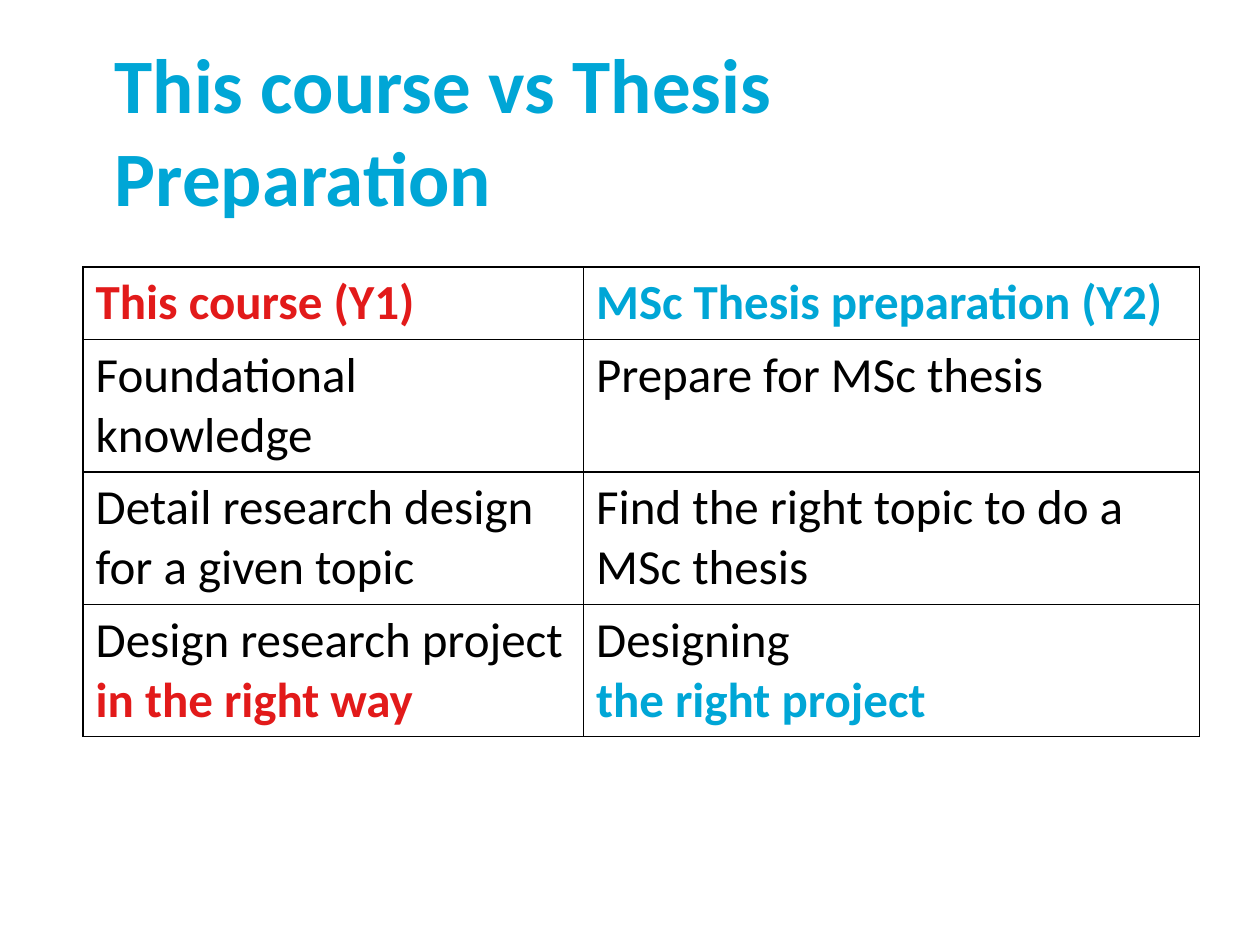
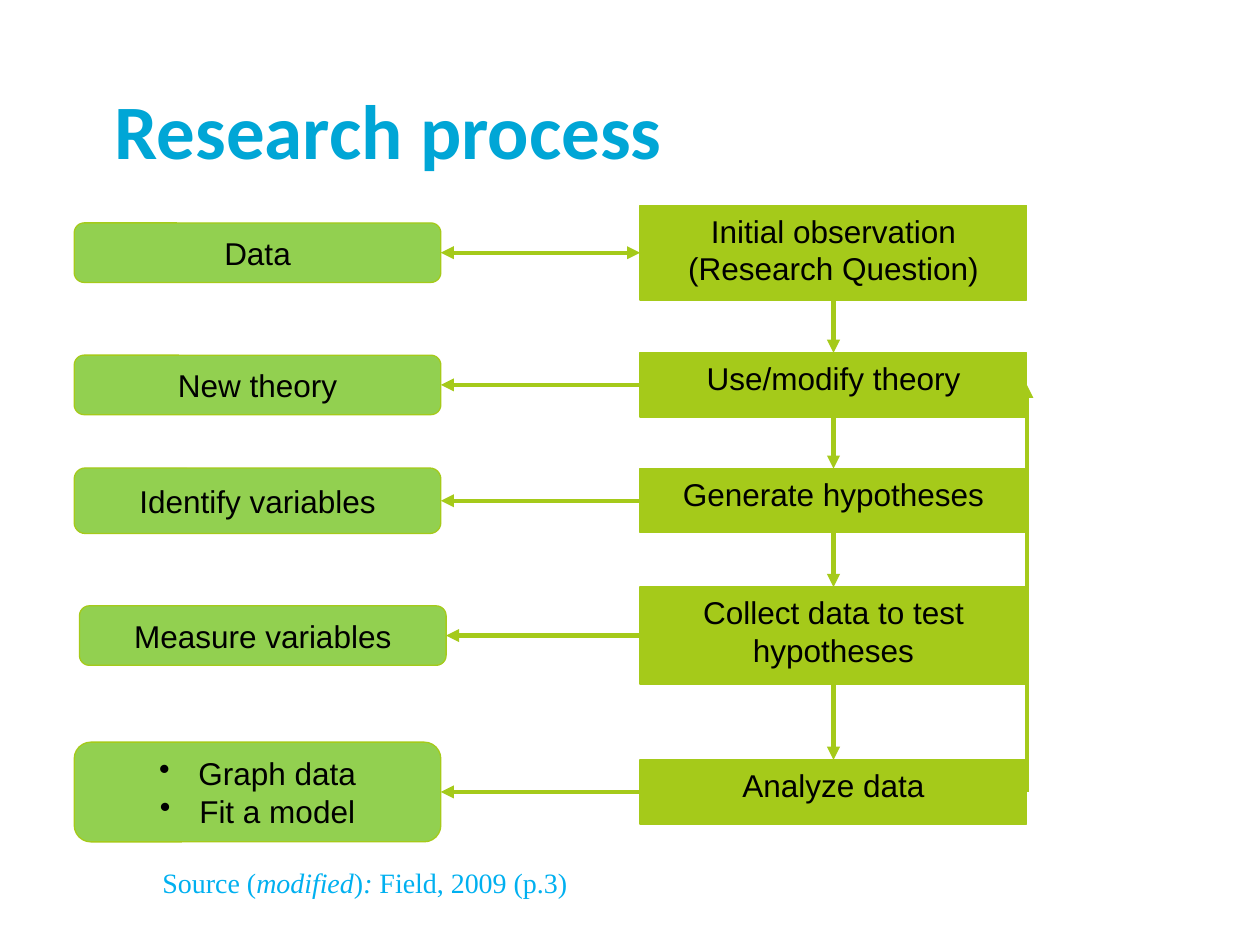
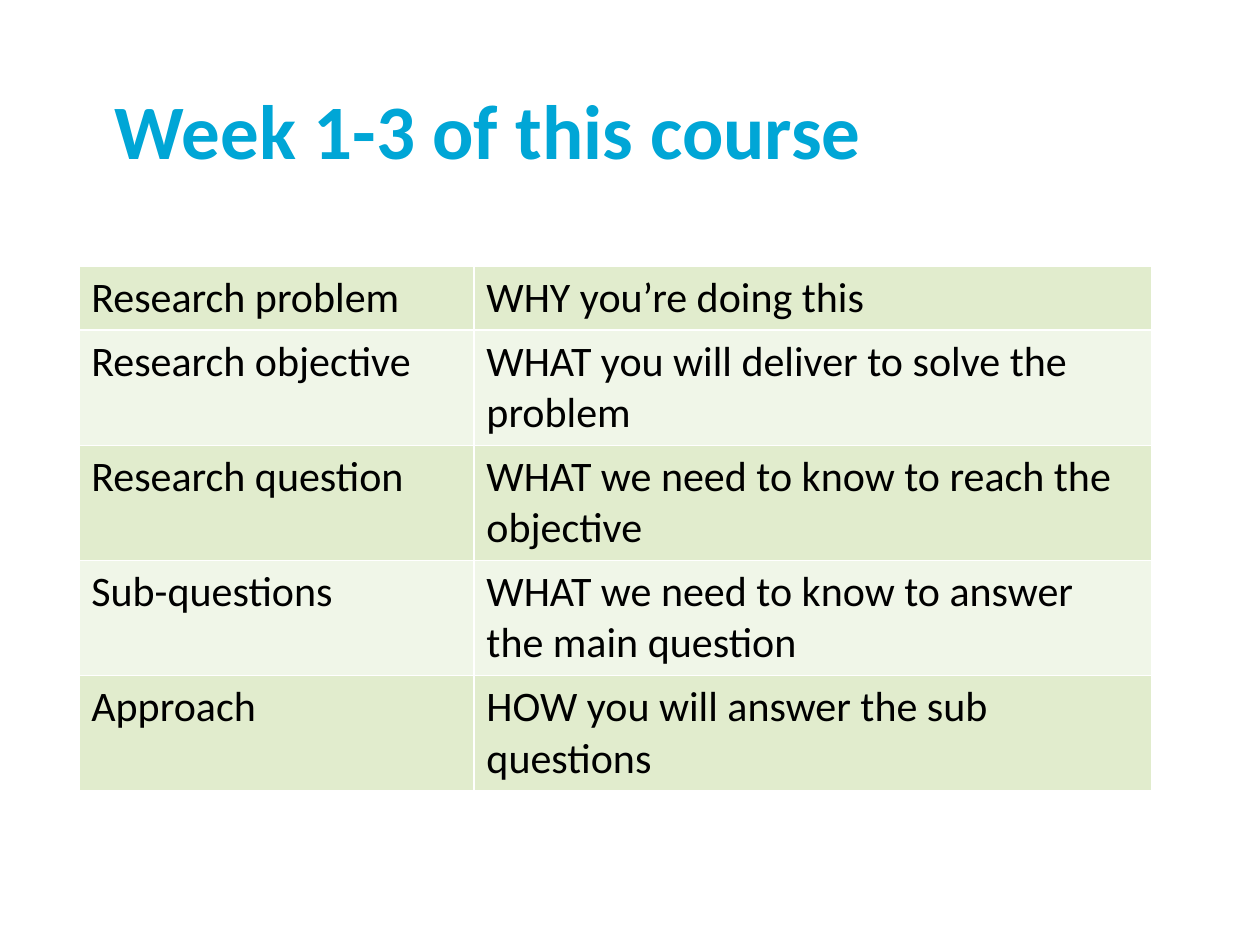
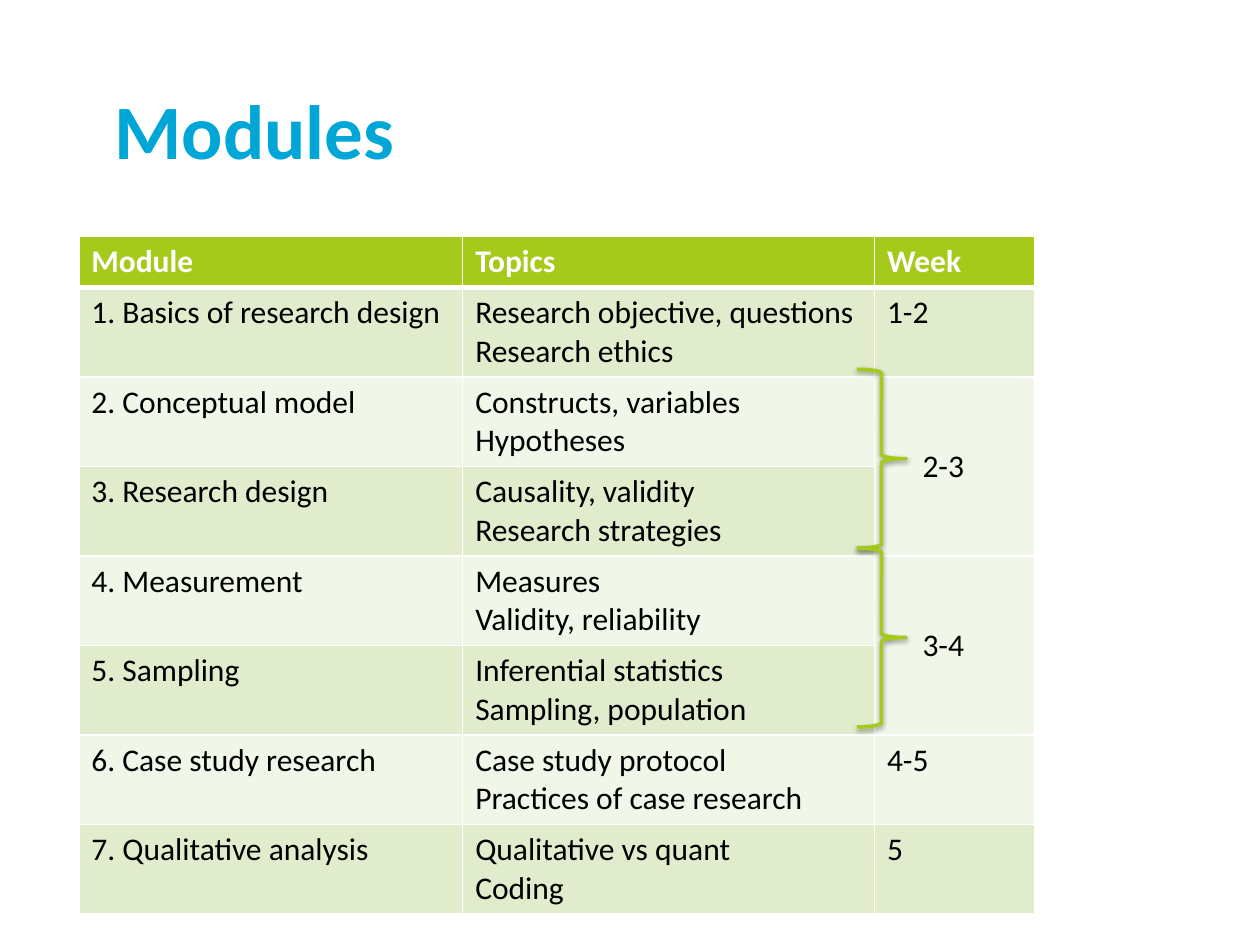
from lxml import etree
from pptx import Presentation
from pptx.dml.color import RGBColor
from pptx.enum import shapes, text
from pptx.oxml import parse_xml
from pptx.oxml.ns import nsdecls, qn
from pptx.util import Pt

HUES = {
    "cyan": "00A6D6", "red": "E21A1A", "black": "000000", "white": "FFFFFF",
    "lime": "A5CA1A", "green": "92D050", "sky": "00B0F0",
    "band": "E1ECCD", "pale": "F0F6E8",
}
ALIGN = text.PP_ALIGN
MIDDLE = text.MSO_ANCHOR.MIDDLE
TOP = text.MSO_ANCHOR.TOP


def rgb(hue):
    return RGBColor.from_string(HUES[hue])


def pts(*nums):
    return [Pt(n) for n in nums]


def write(frame, paras, size=18, font="Calibri", hue="black", bold=False,
          align=ALIGN.LEFT, anchor=TOP, bullet=False):
    """Fill a frame; a paragraph is a string or a list of (text, changes)."""
    frame.word_wrap = True
    frame.vertical_anchor = anchor
    if isinstance(paras, str):
        paras = [paras]
    for i, runs in enumerate(paras):
        para = frame.add_paragraph() if i else frame.paragraphs[0]
        para.alignment = align
        if bullet:
            props = para._p.get_or_add_pPr()
            props.set("marL", str(Pt(22.5)))
            props.set("indent", str(-Pt(22.5)))
            etree.SubElement(props, qn("a:buChar"), char="•")
        for words, extra in [(runs, {})] if isinstance(runs, str) else runs:
            run = para.add_run()
            run.text = words
            face = run.font
            face.name, face.size = font, Pt(size)
            face.bold = extra.get("bold", bold)
            face.italic = extra.get("italic", False)
            face.color.rgb = rgb(extra.get("hue", hue))


def start(deck, title):
    """Add a slide with the shared title style."""
    slide = deck.slides.add_slide(deck.slide_layouts[5])
    head = slide.shapes.title
    head.left, head.top, head.width, head.height = pts(58.3, 28.8, 600.5, 90)
    write(head.text_frame, title, size=44, hue="cyan", bold=True, anchor=MIDDLE)
    head.text_frame.auto_size = text.MSO_AUTO_SIZE.NONE
    return slide


def edge(cell, side, hue, width):
    cell._tc.get_or_add_tcPr().append(parse_xml(
        f'<a:ln{side} {nsdecls("a")} w="{Pt(width)}"><a:solidFill>'
        f'<a:srgbClr val="{HUES[hue]}"/></a:solidFill></a:ln{side}>'))


def grid(slide, left, top, widths, heights, rows, size, line, fills, head=False):
    """Draw a table; None joins a cell to the one above it."""
    frame = slide.shapes.add_table(len(rows), len(widths), *pts(
        left, top, sum(widths), sum(heights)))
    table = frame.table
    table.first_row = head
    table.horz_banding = False
    for col, width in zip(table.columns, widths):
        col.width = Pt(width)
    for r, row in enumerate(rows):
        table.rows[r].height = Pt(heights[r])
        for c, words in enumerate(row):
            cell = table.cell(r, c)
            for side in "LRTB":
                thick = head and (side, r) in (("B", 0), ("T", 1))
                edge(cell, side, line, 3 if thick else 1)
            fill = fills[r]
            if words is None:
                fill = fills[r - 1]
                table.cell(r - 1, c).merge(cell)
                above = table.cell(r - 1, c)
                above.vertical_anchor = MIDDLE
                above.margin_left = Pt(27.5)
            else:
                top_row = head and r == 0
                write(cell.text_frame, words, size=size, bold=top_row,
                      hue="white" if top_row else "black")
            if fill:
                cell.fill.solid()
                cell.fill.fore_color.rgb = rgb(fill)
            else:
                cell.fill.background()


def block(slide, kind, box, words, fill, **form):
    shape = slide.shapes.add_shape(kind, *pts(*box))
    shape.shadow.inherit = False
    shape.fill.solid()
    shape.fill.fore_color.rgb = rgb(fill)
    shape.line.color.rgb = rgb("lime")
    shape.line.width = Pt(0.75)
    write(shape.text_frame, words, font="Arial", align=ALIGN.CENTER, **form)
    return shape


def arrow(slide, first, out, last, into, both=False):
    """Join a side of one block to a side of another."""
    link = slide.shapes.add_connector(shapes.MSO_CONNECTOR.STRAIGHT, 0, 0, 0, 0)
    link.begin_connect(first, out)
    link.end_connect(last, into)
    link.line.color.rgb = rgb("lime")
    link.line.width = Pt(2.5)
    line = link.line._get_or_add_ln()
    for end in ["headEnd", "tailEnd"] if both else ["tailEnd"]:
        etree.SubElement(line, qn("a:" + end), type="triangle")
    etree.SubElement(link._element.spPr, qn("a:effectLst"))


def flow(slide, left, top):
    """Draw the steps on the right, each with its result on the left."""
    # offset and height of step, its words, then shift, height, words of result
    stages = [
        (0, 54, "Initial observation (Research Question)", 0, 34, "Data"),
        (84.2, 36.7, "Use/modify theory", 0, 34, "New theory"),
        (150.4, 36.7, "Generate hypotheses", 0, 37.4, "Identify variables"),
        (218.1, 55.4, "Collect data to test hypotheses", 3, 34, "Measure variables"),
        (316.8, 36.7, "Analyze data", 0, 57, ["Graph data", "Fit a model"]),
    ]
    kinds = shapes.MSO_SHAPE
    steps = []
    for i, (down, tall, words, shift, high, result) in enumerate(stages):
        step = block(slide, kinds.RECTANGLE, (left + 323.4, top + down, 221, tall),
                     words, "lime")
        mid = top + down + tall / 2
        note = block(slide, kinds.ROUNDED_RECTANGLE,
                     (left + shift, mid - high / 2, 209.5, high), result, "green",
                     anchor=MIDDLE, bullet=isinstance(result, list))
        arrow(slide, step, 1, note, 3, both=i == 0)
        if steps:
            arrow(slide, steps[-1], 2, step, 0)
        steps.append(step)
    # way back from analysis to theory
    arrow(slide, steps[4], 3, steps[1], 3)


def source(slide, *box):
    label = slide.shapes.add_textbox(*pts(*box))
    slant = {"italic": True}
    write(label.text_frame, [[("Source (", {}), ("modified", slant), (")", {}),
                              (":", slant), (" Field, 2009 (p.3)", {})]],
          size=16, font="Times New Roman", hue="sky", align=ALIGN.RIGHT)


def brace(slide, *box):
    shape = slide.shapes.add_shape(shapes.MSO_SHAPE.RIGHT_BRACE, *pts(*box))
    shape.fill.background()
    shape.line.color.rgb = rgb("lime")
    shape.line.width = Pt(2)
    shape._element.spPr.append(parse_xml(
        f'<a:effectLst {nsdecls("a")}><a:outerShdw blurRad="{Pt(3.1)}" '
        f'dist="{Pt(1.6)}" dir="5400000" rotWithShape="0"><a:srgbClr '
        f'val="{HUES["black"]}"><a:alpha val="38000"/></a:srgbClr>'
        '</a:outerShdw></a:effectLst>'))


def compare(deck):
    slide = start(deck, "This course vs Thesis Preparation")
    red = {"hue": "red", "bold": True}
    cyan = {"hue": "cyan", "bold": True}
    rows = [
        ([[("This course (Y1)", red)]], [[("MSc Thesis preparation (Y2)", cyan)]]),
        ("Foundational knowledge", "Prepare for MSc thesis"),
        ("Detail research design for a given topic",
         "Find the right topic to do a MSc thesis"),
        (["Design research project", [("in the right way", red)]],
         ["Designing", [("the right project", cyan)]]),
    ]
    grid(slide, 47.5, 152.6, [286, 352], [41.4] + [75.6] * 3, rows, 28,
         "black", [None] * 4)


def process(deck):
    slide = start(deck, "Research process")
    flow(slide, 42.4, 117.4)
    source(slide, 25.2, 491, 306, 26.6)


def weeks(deck):
    slide = start(deck, "Week 1-3 of this course")
    rows = [
        ("Research problem", "WHY you’re doing this"),
        ("Research objective", "WHAT you will deliver to solve the problem"),
        ("Research question", "WHAT we need to know to reach the objective"),
        ("Sub-questions", "WHAT we need to know to answer the main question"),
        ("Approach", "HOW you will answer the sub questions"),
    ]
    grid(slide, 45, 152.2, [225.8, 387.4], [36.5] + [65.8] * 4, rows, 24,
         "white", ["band", "pale"] * 2 + ["band"])


def modules(deck):
    slide = start(deck, "Modules")
    rows = [
        ("Module", "Topics", "Week"),
        ("1. Basics of research design",
         ["Research objective, questions", "Research ethics"], "1-2"),
        ("2. Conceptual model", ["Constructs, variables", "Hypotheses"], "2-3"),
        ("3. Research design", ["Causality, validity", "Research strategies"], None),
        ("4. Measurement", ["Measures", "Validity, reliability"], "3-4"),
        ("5. Sampling", ["Inferential statistics", "Sampling, population"], None),
        ("6. Case study research",
         ["Case study protocol", "Practices of case research"], "4-5"),
        ("7. Qualitative analysis", ["Qualitative vs quant", "Coding"], "5"),
    ]
    grid(slide, 45, 135, [219.4, 235.3, 91.6], [29.2] + [51.1] * 7, rows, 18,
         "white", ["lime"] + ["band", "pale"] * 3 + ["band"], head=True)
    # braces that group modules taught in the same weeks
    for i in range(2):
        brace(slide, 489.6, 211 + i * 102.2, 28.2, 102.2)


def main():
    deck = Presentation()
    deck.slide_width, deck.slide_height = pts(720, 540)
    for build in (compare, process, weeks, modules):
        build(deck)
    deck.save("out.pptx")


if __name__ == "__main__":
    main()
